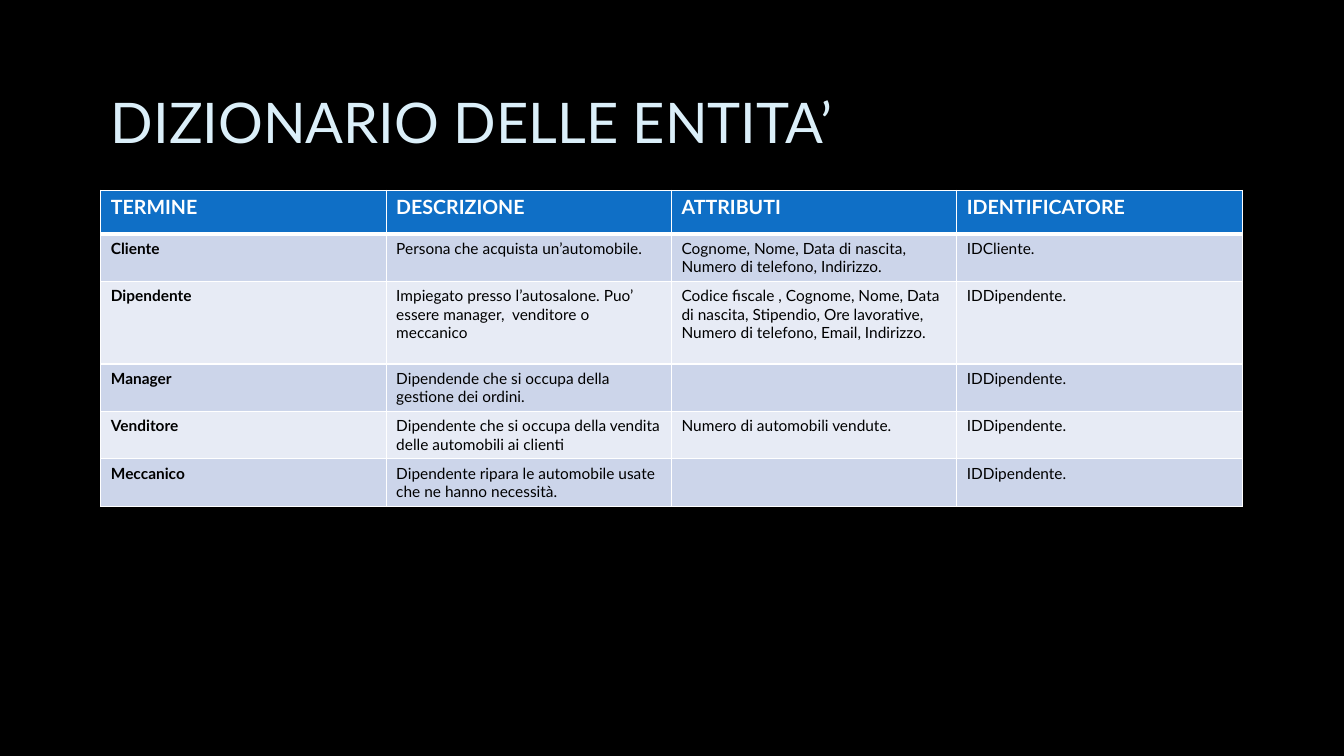
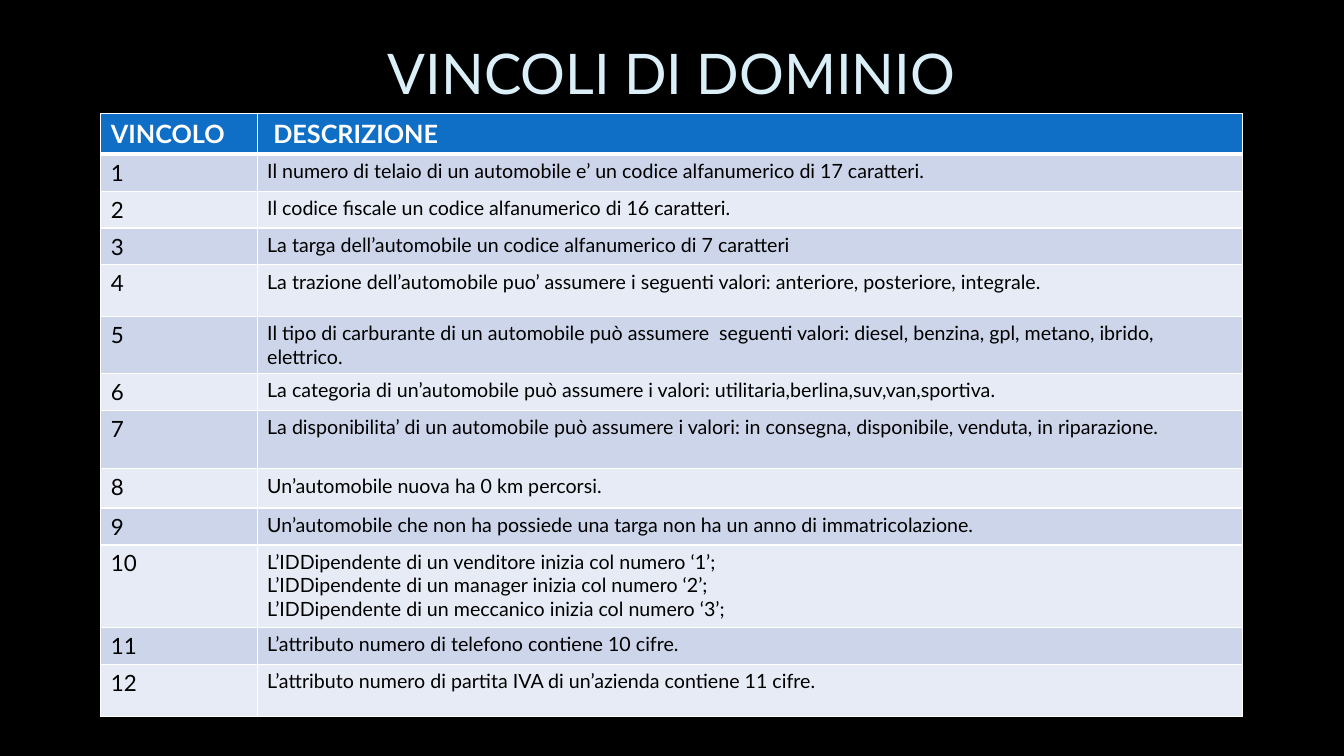
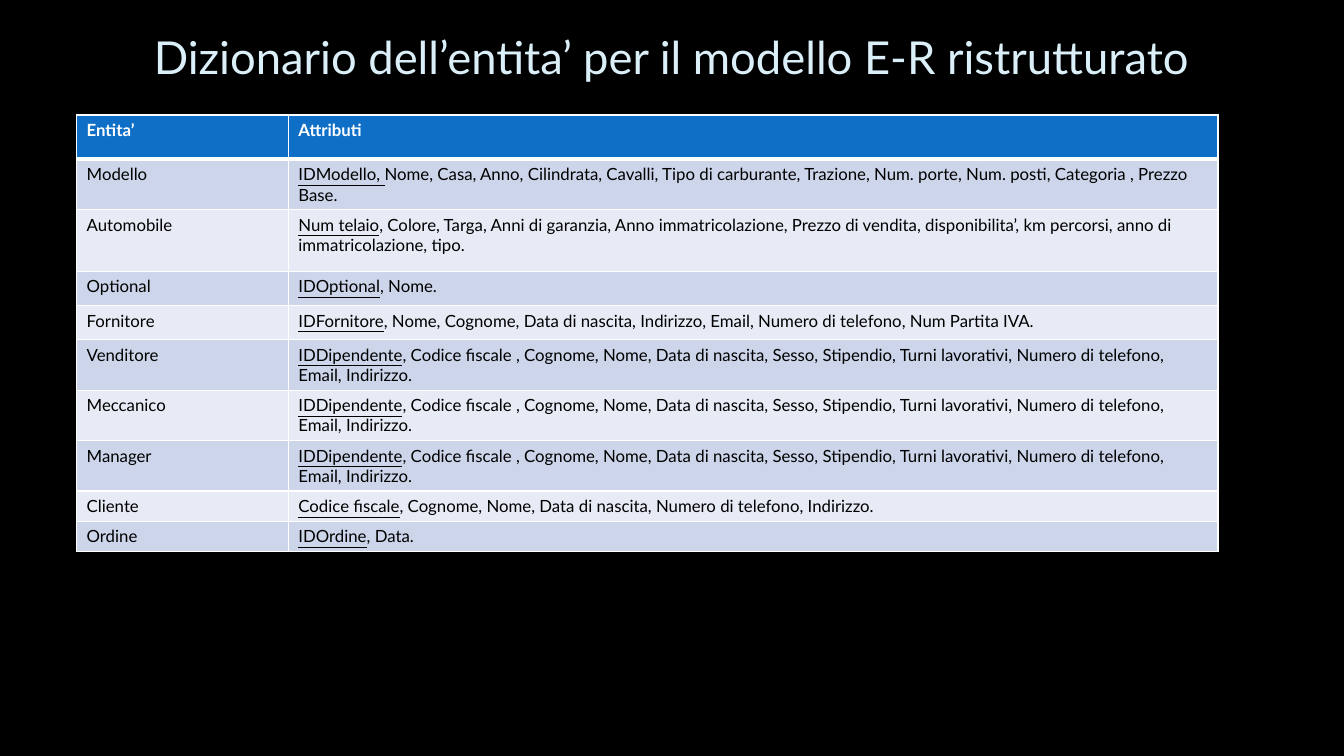
import dataclasses

import pptx
import pptx.dml.color
import pptx.enum.text
import pptx.oxml.ns
import pptx.util
from lxml import etree

LEFT = pptx.enum.text.PP_ALIGN.LEFT
CENTER = pptx.enum.text.PP_ALIGN.CENTER


@dataclasses.dataclass(frozen=True)
class Theme:
    width: float = 13.33
    height: float = 7.5
    margin: float = 1.0
    content_width: float = 11.32
    title_height: float = 1.06
    inset: float = 0.05
    font: str = "Lato"
    background: str = "000000"
    title: str = "DBEFF9"
    header: str = "0F6FC6"
    header_text: str = "FFFFFF"
    body_text: str = "000000"
    bands: tuple = ("CCD5EA", "E7EBF5")
    border: str = "FFFFFF"
    thin: float = 1
    thick: float = 3
    title_size: float = 40
    long_title_size: float = 32.4
    large: float = 18
    medium: float = 16
    regular: float = 14
    small: float = 12
    tiny: float = 11


THEME = Theme()

ENTITIES = [
    ("TERMINE", "DESCRIZIONE", "ATTRIBUTI", "IDENTIFICATORE"),
    ("Cliente", "Persona che acquista un’automobile.",
     "Cognome, Nome, Data di nascita, Numero di telefono, Indirizzo.", "IDCliente."),
    ("Dipendente", "Impiegato presso l’autosalone. Puo’ essere manager,  venditore o meccanico",
     "Codice fiscale , Cognome, Nome, Data di nascita, Stipendio, Ore lavorative, "
     "Numero di telefono, Email, Indirizzo.", "IDDipendente."),
    ("Manager", "Dipendende che si occupa della gestione dei ordini.", "", "IDDipendente."),
    ("Venditore", "Dipendente che si occupa della vendita delle automobili ai clienti",
     "Numero di automobili vendute.", "IDDipendente."),
    ("Meccanico", "Dipendente ripara le automobile usate che ne hanno necessità.", "",
     "IDDipendente."),
]

CONSTRAINTS = [
    "Il numero di telaio di un automobile e’ un codice alfanumerico di 17 caratteri.",
    "Il codice fiscale un codice alfanumerico di 16 caratteri.",
    "La targa dell’automobile un codice alfanumerico di 7 caratteri",
    "La trazione dell’automobile puo’ assumere i seguenti valori: anteriore, posteriore, integrale.",
    "Il tipo di carburante di un automobile può assumere  seguenti valori: "
    "diesel, benzina, gpl, metano, ibrido, elettrico.",
    "La categoria di un’automobile può assumere i valori: utilitaria,berlina,suv,van,sportiva.",
    "La disponibilita’ di un automobile può assumere i valori: "
    "in consegna, disponibile, venduta, in riparazione.",
    "Un’automobile nuova ha 0 km percorsi.",
    "Un’automobile che non ha possiede una targa non ha un anno di immatricolazione.",
    "\n".join(f"L’IDDipendente di un {role} inizia col numero ‘{digit}’;"
              for digit, role in enumerate(("venditore", "manager", "meccanico"), 1)),
    "L’attributo numero di telefono contiene 10 cifre.",
    "L’attributo numero di partita IVA di un’azienda contiene 11 cifre.",
]

EMPLOYEE = ("IDDipendente", ", Codice fiscale , Cognome, Nome, Data di nascita, Sesso, Stipendio, "
            "Turni lavorativi, Numero di telefono, Email, Indirizzo.")

RESTRUCTURED = [
    ("Entita’", "Attributi"),
    ("Modello", ("IDModello, ", "Nome, Casa, Anno, Cilindrata, Cavalli, Tipo di carburante, "
                 "Trazione, Num. porte, Num. posti, Categoria , Prezzo Base.")),
    ("Automobile", ("Num telaio", ", Colore, Targa, Anni di garanzia, Anno immatricolazione, "
                    "Prezzo di vendita, disponibilita’, km percorsi, "
                    "anno di immatricolazione, tipo.")),
    ("Optional", ("IDOptional", ", Nome.")),
    ("Fornitore", ("IDFornitore", ", Nome, Cognome, Data di nascita, Indirizzo, Email, "
                   "Numero di telefono, Num Partita IVA.")),
    *((role, EMPLOYEE) for role in ("Venditore", "Meccanico", "Manager")),
    ("Cliente", ("Codice fiscale",
                 ", Cognome, Nome, Data di nascita, Numero di telefono, Indirizzo.")),
    ("Ordine", ("IDOrdine", ", Data.")),
]


def inches(*lengths):
    return [pptx.util.Inches(length) for length in lengths]


def rgb(value):
    return pptx.dml.color.RGBColor.from_string(value)


def style_font(font, size, color, bold=False):
    font.name = THEME.font
    font.size = pptx.util.Pt(size)
    font.bold = bold
    font.color.rgb = rgb(color)


def add_titled_slide(deck, text, top, size=THEME.title_size, align=CENTER, lift=0):
    slide = deck.slides.add_slide(deck.slide_layouts[5])
    title = slide.shapes.title
    title.left, title.top, title.width, title.height = inches(
        THEME.margin, top, THEME.content_width, THEME.title_height)
    frame = title.text_frame
    frame.text = text
    frame.word_wrap = True
    frame.auto_size = pptx.enum.text.MSO_AUTO_SIZE.NONE
    frame.vertical_anchor = pptx.enum.text.MSO_ANCHOR.MIDDLE
    frame.margin_bottom = pptx.util.Inches(THEME.inset + 2 * lift)
    heading = frame.paragraphs[0]
    heading.alignment = align
    style_font(heading.font, size, THEME.title)
    return slide


def set_borders(cell, top, bottom):
    properties = cell._tc.get_or_add_tcPr()
    sides = {"L": THEME.thin, "R": THEME.thin, "T": top, "B": bottom}
    for side, width in sides.items():
        line = etree.SubElement(properties, pptx.oxml.ns.qn(f"a:ln{side}"),
                                w=str(pptx.util.Pt(width)))
        fill = etree.SubElement(line, pptx.oxml.ns.qn("a:solidFill"))
        etree.SubElement(fill, pptx.oxml.ns.qn("a:srgbClr"), val=THEME.border)


def write_cell(cell, content, size, color, bold):
    if isinstance(content, tuple):
        key, rest = content
        paragraph = cell.text_frame.paragraphs[0]
        identifier = paragraph.add_run()
        identifier.text = key
        identifier.font.underline = True
        paragraph.add_run().text = rest
    else:
        cell.text = content
    for paragraph in cell.text_frame.paragraphs:
        style_font(paragraph.font, size, color, bold)


def add_banded_table(slide, rows, left, top, widths, heights, header_size, sizes, bold_terms=False):
    frame = slide.shapes.add_table(len(rows), len(widths), *inches(
        left, top, sum(widths), sum(heights)))
    table = frame.table
    for column, width in zip(table.columns, inches(*widths)):
        column.width = width
    for row, height in zip(table.rows, inches(*heights)):
        row.height = height
    for r, contents in enumerate(rows):
        is_header = r == 0
        fill = THEME.header if is_header else THEME.bands[(r - 1) % 2]
        color = THEME.header_text if is_header else THEME.body_text
        for c, content in enumerate(contents):
            cell = table.cell(r, c)
            set_borders(cell, THEME.thick if r == 1 else THEME.thin,
                        THEME.thick if is_header else THEME.thin)
            cell.fill.solid()
            cell.fill.fore_color.rgb = rgb(fill)
            write_cell(cell, content, header_size if is_header else sizes[c], color,
                       is_header or (bold_terms and c == 0))


def main():
    deck = pptx.Presentation()
    deck.slide_width, deck.slide_height = inches(THEME.width, THEME.height)
    backdrop = deck.slide_master.background.fill
    backdrop.solid()
    backdrop.fore_color.rgb = rgb(THEME.background)

    entities = add_titled_slide(deck, "DIZIONARIO DELLE ENTITA’", 0.67, align=LEFT)
    add_banded_table(entities, ENTITIES, THEME.margin, 1.89, [THEME.content_width / 4] * 4,
                     [0.43, 0.43, 0.82, 0.43, 0.43, 0.43],
                     THEME.regular, [THEME.tiny] * 4, bold_terms=True)

    constraints = add_titled_slide(deck, "VINCOLI DI DOMINIO", 0.19)
    numbered = [(str(number), rule) for number, rule in enumerate(CONSTRAINTS, 1)]
    add_banded_table(constraints, [("VINCOLO", " DESCRIZIONE"), *numbered], THEME.margin, 1.13,
                     [1.55, THEME.content_width - 1.55],
                     [0.37, *[0.34] * 3, 0.51, 0.51, 0.34, 0.58, 0.39, 0.34, 0.82, 0.36, 0.52],
                     THEME.large, [THEME.medium, THEME.regular])

    restructured = add_titled_slide(deck, "Dizionario dell’entita’ per il modello E-R ristrutturato",
                                    0.3, THEME.long_title_size, lift=0.27)
    add_banded_table(restructured, RESTRUCTURED, 0.76, 1.14, [2.1, THEME.content_width - 2.1],
                     [0.44, 0.41, 0.61, *[0.34] * 5, 0.27, 0.27],
                     THEME.small, [THEME.small] * 2)

    deck.save("out.pptx")


if __name__ == "__main__":
    main()
